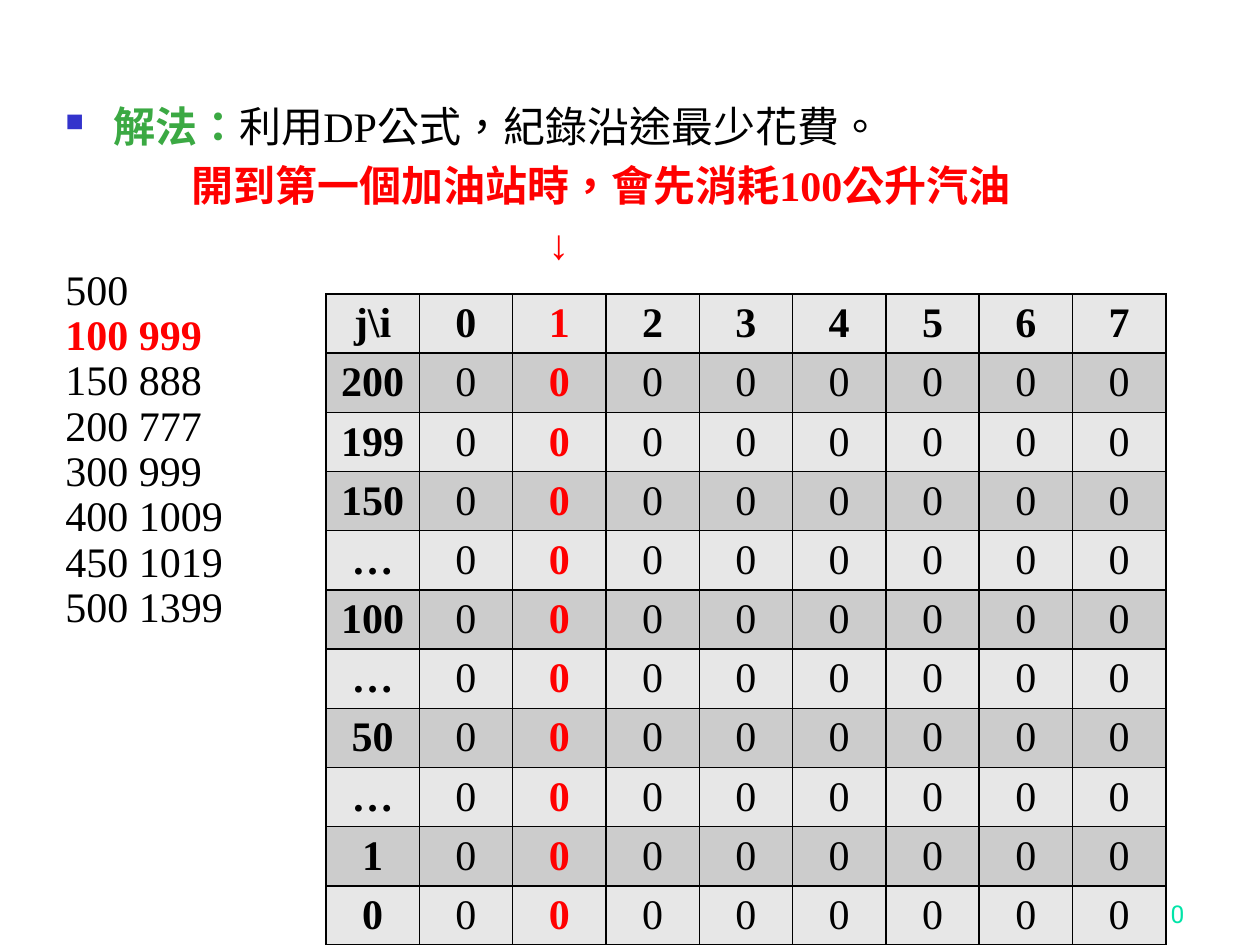
from dataclasses import dataclass

from lxml import etree
from pptx import Presentation
from pptx.dml.color import RGBColor
from pptx.enum.text import MSO_ANCHOR, PP_ALIGN
from pptx.oxml.ns import qn
from pptx.util import Emu, Pt

CENTER, RIGHT = PP_ALIGN.CENTER, PP_ALIGN.RIGHT
BOTTOM = MSO_ANCHOR.BOTTOM
PX_PER_INCH = 126
SERIF, SANS = "Times New Roman", "Roboto"
TEXT_SIZE = 24
CELL_BOTTOM_MARGIN = Pt(1.4)  # keeps all eleven rows on the slide
HIGHLIGHT_COLUMN = 2
COLORS = {
    "black": "000000", "red": "FF0000", "green": "3BA943",
    "bullet": "3333CC", "number": "00E4A8",
    "light": "E7E7E7", "dark": "CCCCCC",
}


@dataclass(frozen=True)
class Span:
    text: str
    color: str = "black"
    bold: bool = False


@dataclass(frozen=True)
class Line:
    spans: tuple[Span, ...]
    indent: int = 0  # px
    height: float = 28.8  # points
    before: float = 4.8  # points
    bullet: bool = False


def px(length: int) -> Emu:
    return Emu(round(length * 914400 / PX_PER_INCH))


def style_run(run, color: str, bold=False, size=TEXT_SIZE, name=SERIF) -> None:
    run.font.name = name
    run.font.size = Pt(size)
    run.font.bold = bold
    run.font.color.rgb = RGBColor.from_string(COLORS[color])


def add_box(slide, left: int, top: int, width: int, height: int):
    box = slide.shapes.add_textbox(px(left), px(top), px(width), px(height))
    box.text_frame.word_wrap = True
    return box.text_frame


def set_indent(para, line: Line) -> None:
    properties = para._p.get_or_add_pPr()
    properties.set("marL", str(px(line.indent)))
    properties.set("indent", str(-px(line.indent) if line.bullet else 0))
    if line.bullet:
        color = etree.SubElement(properties, qn("a:buClr"))
        etree.SubElement(color, qn("a:srgbClr"), val=COLORS["bullet"])
        etree.SubElement(properties, qn("a:buSzPct"), val="60000")
        etree.SubElement(properties, qn("a:buChar"), char="■")


def fill_lines(frame, lines: list[Line]) -> None:
    for index, line in enumerate(lines):
        para = frame.add_paragraph() if index else frame.paragraphs[0]
        set_indent(para, line)
        para.line_spacing = Pt(line.height)
        para.space_before = Pt(line.before if index else 0)
        for span in line.spans:
            run = para.add_run()
            run.text = span.text
            style_run(run, span.color, span.bold)
            # Traditional Chinese centres the punctuation marks
            run._r.get_or_add_rPr().set("lang", "zh-TW")


def set_borders(cell) -> None:
    properties = cell._tc.get_or_add_tcPr()
    for position, side in enumerate(("a:lnL", "a:lnR", "a:lnT", "a:lnB")):
        border = etree.Element(qn(side), w=str(Pt(1)))
        fill = etree.SubElement(border, qn("a:solidFill"))
        etree.SubElement(fill, qn("a:srgbClr"), val=COLORS["black"])
        properties.insert(position, border)


def add_cost_table(slide, rows: list[list[str]]) -> None:
    frame = slide.shapes.add_table(
        len(rows), len(rows[0]), px(326), px(294), px(840), px(568))
    for row, values in enumerate(rows):
        for column, value in enumerate(values):
            cell = frame.table.cell(row, column)
            cell.margin_bottom = CELL_BOTTOM_MARGIN
            cell.fill.solid()
            shade = "dark" if row % 2 else "light"
            cell.fill.fore_color.rgb = RGBColor.from_string(COLORS[shade])
            set_borders(cell)
            cell.text_frame.text = value
            para = cell.text_frame.paragraphs[0]
            para.alignment = CENTER
            highlighted = column == HIGHLIGHT_COLUMN
            style_run(para.runs[0], "red" if highlighted else "black",
                      highlighted or row == 0 or column == 0)


def main() -> None:
    deck = Presentation()
    deck.slide_width, deck.slide_height = px(1260), px(945)
    slide = deck.slides.add_slide(deck.slide_layouts[6])

    # Page number, behind the table
    number = add_box(slide, 935, 872, 262, 63)
    number.vertical_anchor = BOTTOM
    number.text = "10"
    number.paragraphs[0].alignment = RIGHT
    style_run(number.paragraphs[0].runs[0], "number", size=14, name=SANS)

    # Explanation, arrow to the highlighted column and input data
    lines = [
        Line((Span("解法：", "green", True),
              Span("利用DP公式，紀錄沿途最少花費。")), indent=48, bullet=True),
        Line((Span("開到第一個加油站時，會先消耗100公升汽油", "red", True),),
             indent=126),
        Line((Span("↓", "red", True),), indent=483),
    ]
    inputs = ["500", "100 999", "150 888", "200 777", "300 999",
              "400 1009", "450 1019", "500 1399"]
    for text in inputs:
        current = text == "100 999"
        span = Span(text, "red" if current else "black", current)
        lines.append(Line((span,), height=25.92, before=0))
    fill_lines(add_box(slide, 53, 94, 1113, 775), lines)

    # Cost table: fuel left (j) by station (i)
    stations = [str(station) for station in range(8)]
    fuel = ["200", "199", "150", "…", "100", "…", "50", "…", "1", "0"]
    rows = [["j\\i", *stations]]
    rows += [[level, *["0"] * len(stations)] for level in fuel]
    add_cost_table(slide, rows)

    deck.save("out.pptx")


if __name__ == "__main__":
    main()
